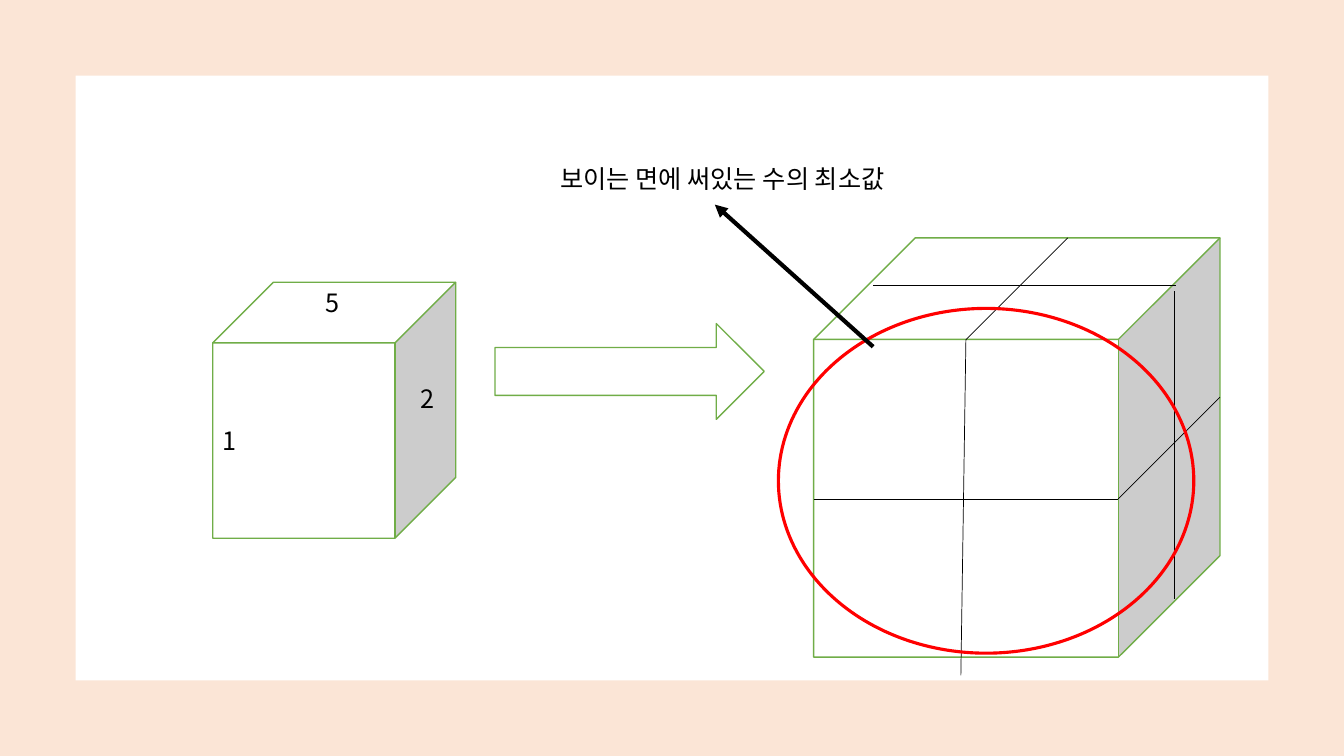
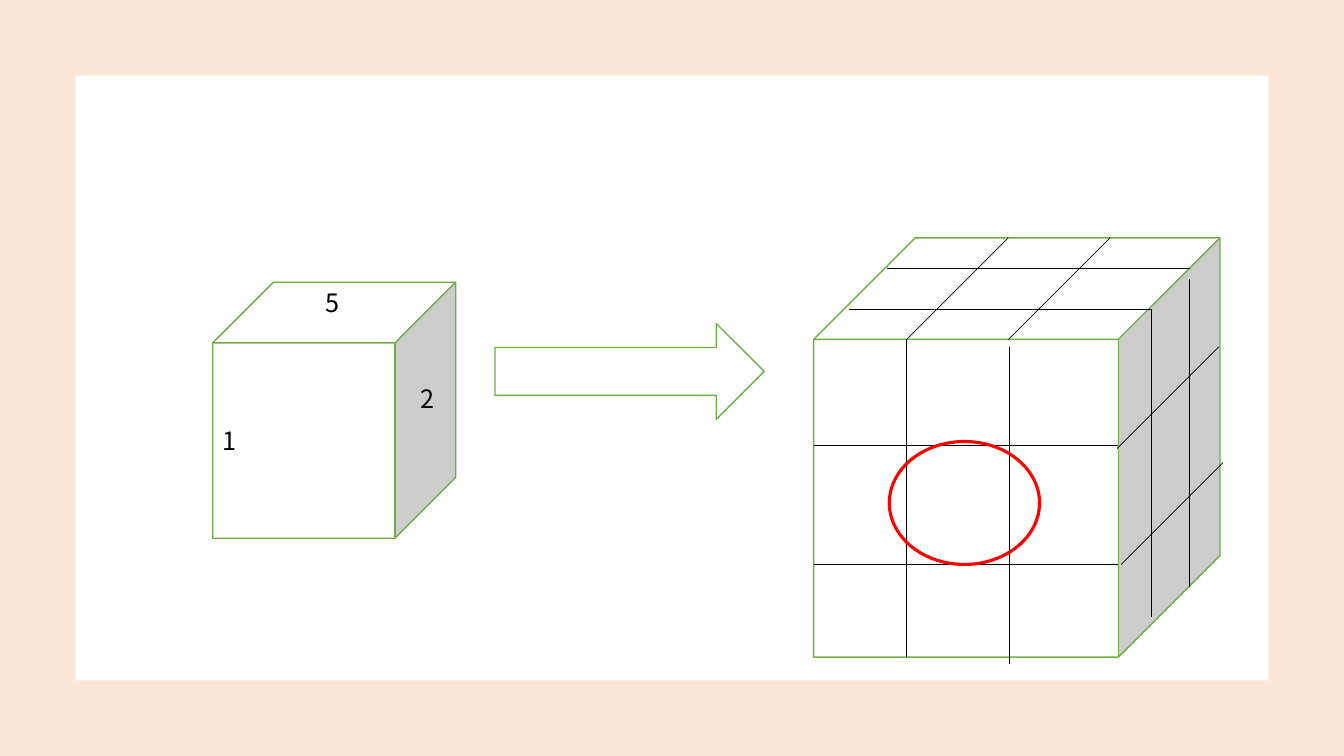
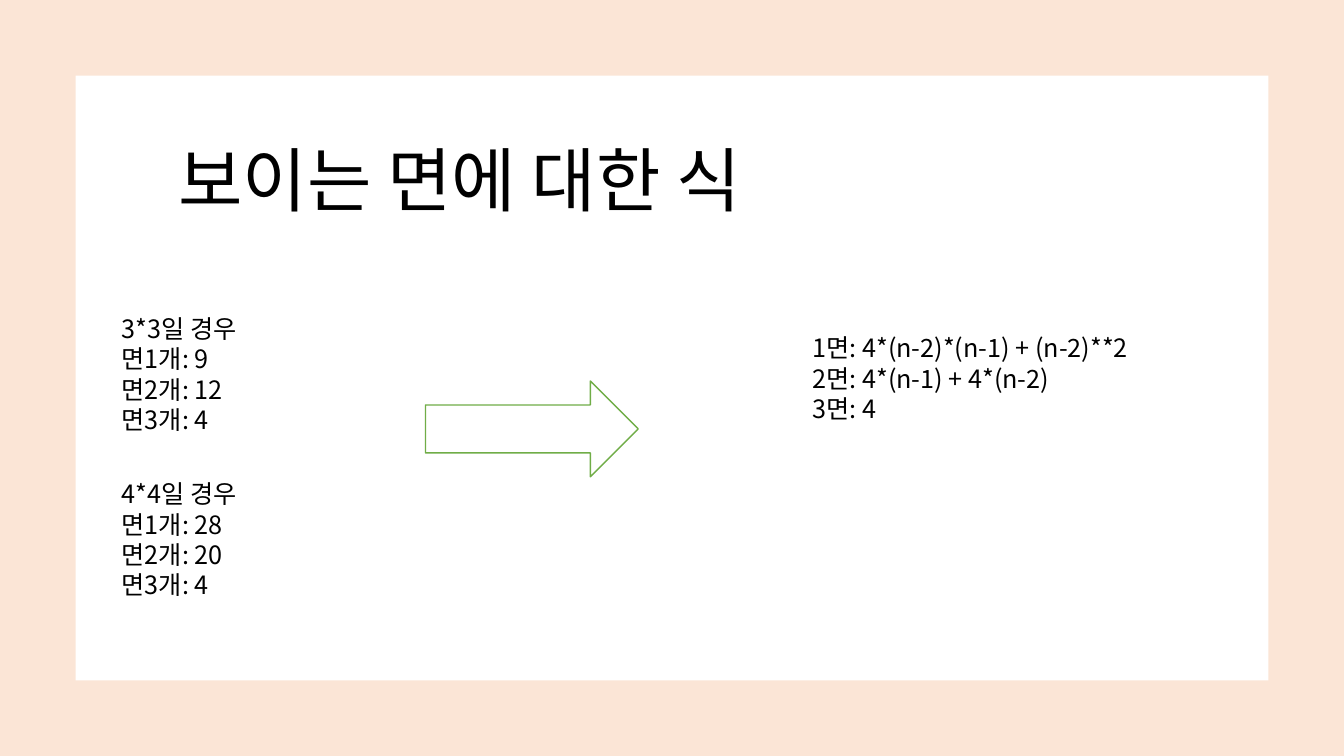
"""Three slides that count the visible faces of small cubes stacked in a big one."""
from lxml.etree import SubElement
from pptx import Presentation
from pptx.dml.color import RGBColor
from pptx.enum.shapes import MSO_CONNECTOR, MSO_SHAPE as Preset
from pptx.enum.text import MSO_ANCHOR, MSO_AUTO_SIZE, PP_ALIGN
from pptx.oxml.ns import qn
from pptx.util import Inches, Pt

FONT = "Noto Sans CJK KR"
PEACH, WHITE, GREEN, RED, BLACK = "FBE5D6", "FFFFFF", "70AD47", "FF0000", "000000"
WIDTH, HEIGHT, MARGIN = 13.33, 7.5, 0.75

SMALL_CUBE = (2.11, 2.8, 2.41, 2.54)
BIG_CUBE = (8.07, 2.36, 4.03, 4.16)
CUBE_ARROW = (4.91, 3.21, 2.67, 0.95)
FORMULA_ARROW = (4.22, 3.78, 2.11, 0.95)
FRONT_NUMBER = "1"
FACE_NUMBERS = [("2", (4.07, 3.75, 0.45, 0.4)), ("5", (3.13, 2.8, 0.64, 0.4))]

FRONT_ROW, FRONT_COLUMN, LEANING_COLUMN = (3.02, 0), (0, 3.15), (-0.05, 3.33)
SIDE_COLUMN, TOP_ROW, DEPTH = (0, 3.05), (3, 0), (1.01, -1.01)
CUBE_SLIDES = [
    {
        "cuts": [
            (FRONT_ROW, [(8.07, 4.95)]),
            (LEANING_COLUMN, [(9.58, 3.37)]),
            (DEPTH, [(11.09, 4.95), (9.58, 3.37)]),
            (SIDE_COLUMN, [(11.65, 2.89)]),
            (TOP_ROW, [(8.66, 2.83)]),
        ],
        "ring": (7.72, 3.06, 4.12, 3.42),
        "note": ("보이는 면에 써있는 수의 최소값", (5.46, 1.57, 3.93, 0.4)),
        "pointer": ((8.66, 3.44), (7.09, 2.03)),
    },
    {
        "cuts": [
            (FRONT_ROW, [(8.07, 4.42), (8.07, 5.6)]),
            (FRONT_COLUMN, [(8.99, 3.37), (10.01, 3.44)]),
            (DEPTH, [(11.08, 4.45), (11.12, 5.6), (8.99, 3.37), (10, 3.37)]),
            (SIDE_COLUMN, [(11.42, 3.07), (11.8, 2.77)]),
            (TOP_ROW, [(8.42, 3.07), (8.8, 2.66)]),
        ],
        "ring": (8.82, 4.38, 1.49, 1.22),
    },
]

FORMULA_TITLE = ("보이는 면에 대한 식", (1.67, 1.3, 9.09, 0.94))
FORMULA_TEXTS = [
    (["1면: 4*(n-2)*(n-1) + (n-2)**2", "2면: 4*(n-1) + 4*(n-2)", "3면: 4"],
     (7.96, 3.25, 3.68, 1.01)),
    (["3*3일 경우", "면1개: 9", "면2개: 12", "면3개: 4"], (1.11, 3.06, 4.16, 1.31)),
    (["4*4일 경우", "면1개: 28", "면2개: 20", "면3개: 4"], (1.11, 4.7, 4.16, 1.31)),
]


def color(value):
    return RGBColor.from_string(value)


def inches(values):
    return [Inches(value) for value in values]


def write(frame, lines, size=18):
    frame.text = "\n".join(lines)
    for paragraph in frame.paragraphs:
        font = paragraph.font
        font.name, font.size = FONT, Pt(size)
        font.color.rgb = color(BLACK)
        defaults = paragraph._p.pPr.find(qn("a:defRPr"))
        SubElement(defaults, qn("a:ea")).set("typeface", FONT)


def add_preset(shapes, preset, box, fill=None, line=None, weight=1):
    shape = shapes.add_shape(preset, *inches(box))
    shape.shadow.inherit = False
    if fill:
        shape.fill.solid()
        shape.fill.fore_color.rgb = color(fill)
    else:
        shape.fill.background()
    if line:
        shape.line.color.rgb = color(line)
        shape.line.width = Pt(weight)
    else:
        shape.line.fill.background()
    return shape


def add_text(shapes, lines, box):
    frame = shapes.add_textbox(*inches(box)).text_frame
    frame.word_wrap = True
    frame.auto_size = MSO_AUTO_SIZE.SHAPE_TO_FIT_TEXT
    write(frame, lines)


def add_line(shapes, start, end, weight=0.5, arrow=False):
    line = shapes.add_connector(MSO_CONNECTOR.STRAIGHT, *inches(start + end))
    line.line.color.rgb = color(BLACK)
    line.line.width = Pt(weight)
    properties = line.element.spPr
    SubElement(properties, qn("a:effectLst"))
    if arrow:
        SubElement(properties.find(qn("a:ln")), qn("a:tailEnd")).set("type", "triangle")


def add_slide(deck, layout):
    slide = deck.slides.add_slide(deck.slide_layouts.get_by_name(layout))
    panel = (MARGIN, MARGIN, WIDTH - 2 * MARGIN, HEIGHT - 2 * MARGIN)
    add_preset(slide.shapes, Preset.RECTANGLE, (0, 0, WIDTH, HEIGHT), PEACH)
    add_preset(slide.shapes, Preset.RECTANGLE, panel, WHITE)
    return slide


def add_cube_slide(deck, content):
    shapes = add_slide(deck, "Blank").shapes
    small_cube = add_preset(shapes, Preset.CUBE, SMALL_CUBE, WHITE, GREEN)
    write(small_cube.text_frame, [FRONT_NUMBER])
    for number, box in FACE_NUMBERS:
        add_text(shapes, [number], box)
    add_preset(shapes, Preset.RIGHT_ARROW, CUBE_ARROW, WHITE, GREEN)

    big_cube = shapes.add_group_shape().shapes
    add_preset(big_cube, Preset.CUBE, BIG_CUBE, WHITE, GREEN)
    for (across, down), starts in content["cuts"]:
        for x, y in starts:
            add_line(big_cube, (x, y), (x + across, y + down))

    add_preset(shapes, Preset.OVAL, content["ring"], line=RED, weight=2.25)
    if "note" in content:
        add_line(shapes, *content["pointer"], weight=3, arrow=True)
        note, box = content["note"]
        add_text(shapes, [note], box)


def add_formula_slide(deck):
    shapes = add_slide(deck, "Title Only").shapes
    heading, box = FORMULA_TITLE
    title = shapes.title
    shapes.element.append(title.element)
    title.left, title.top, title.width, title.height = inches(box)
    frame = title.text_frame
    frame.word_wrap = True
    frame.auto_size = MSO_AUTO_SIZE.SHAPE_TO_FIT_TEXT
    frame.vertical_anchor = MSO_ANCHOR.TOP
    write(frame, [heading], 50)
    frame.paragraphs[0].alignment = PP_ALIGN.LEFT
    add_preset(shapes, Preset.RIGHT_ARROW, FORMULA_ARROW, WHITE, GREEN)
    for lines, text_box in FORMULA_TEXTS:
        add_text(shapes, lines, text_box)


deck = Presentation()
deck.slide_width, deck.slide_height = inches((WIDTH, HEIGHT))
for content in CUBE_SLIDES:
    add_cube_slide(deck, content)
add_formula_slide(deck)
deck.save("out.pptx")
